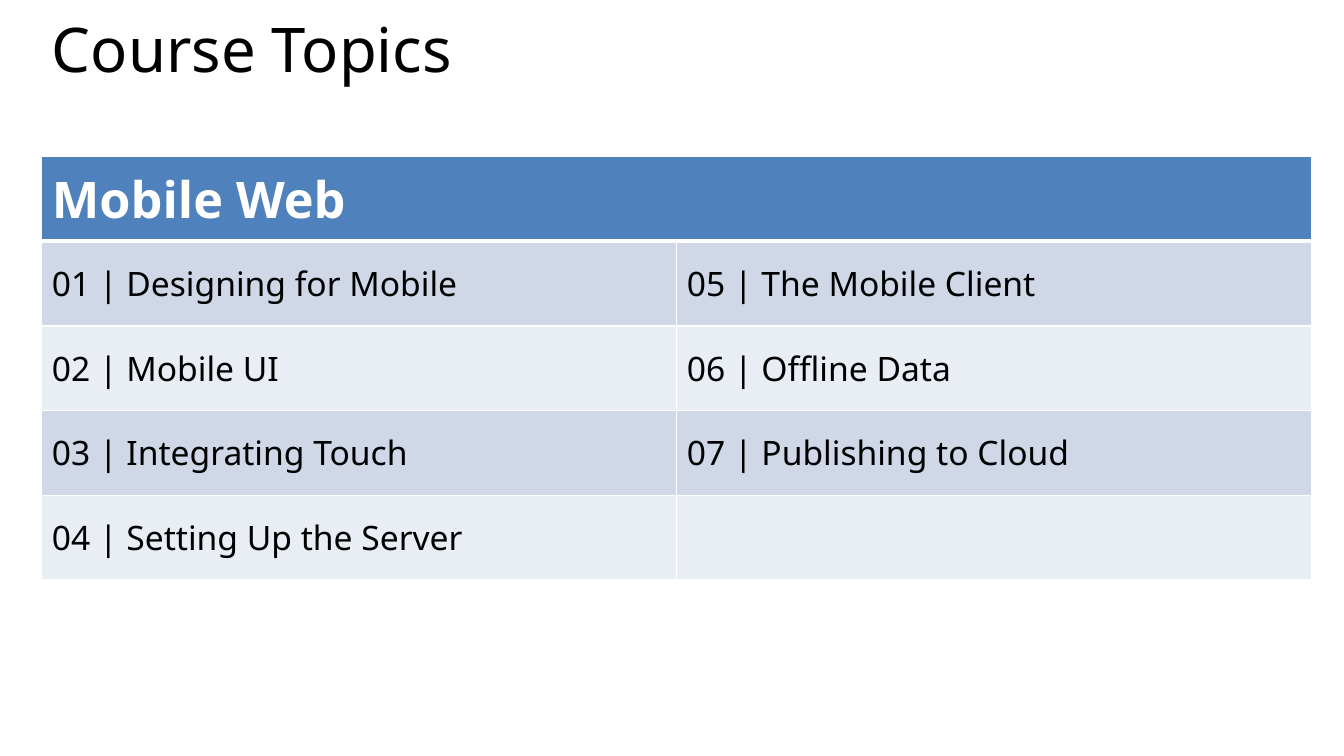
from typing import Any, NamedTuple

from lxml import etree
from pptx import Presentation
from pptx.dml.color import RGBColor
from pptx.enum.text import MSO_ANCHOR
from pptx.oxml.ns import qn
from pptx.util import Pt

TOP, MIDDLE = MSO_ANCHOR.TOP, MSO_ANCHOR.MIDDLE

BLACK = RGBColor(0x00, 0x00, 0x00)
WHITE = RGBColor(0xFF, 0xFF, 0xFF)
HEADER_BLUE = RGBColor(0x4F, 0x81, 0xBD)
BANDS = (RGBColor(0xD0, 0xD8, 0xE8), RGBColor(0xE9, 0xED, 0xF4))

FONT = "Noto Sans"
SLIDE_WIDTH, SLIDE_HEIGHT = Pt(960), Pt(540)
THIN, THICK = Pt(1), Pt(3)
ROW_HEIGHT = Pt(60.48)
COLUMN_WIDTH = Pt(453.6)


class TextStyle(NamedTuple):
    """Size, colour and weight of one kind of text."""

    size: int
    color: RGBColor
    bold: bool = False


TITLE_STYLE = TextStyle(44, BLACK)
HEADER_STYLE = TextStyle(36, WHITE, True)
TOPIC_STYLE = TextStyle(24, BLACK)

TOPICS = (
    ("01 | Designing for Mobile", "05 | The Mobile Client"),
    ("02 | Mobile UI", "06 | Offline Data"),
    ("03 | Integrating Touch", "07 | Publishing to Cloud"),
    ("04 | Setting Up the Server", ""),
)


def write_text(para: Any, text: str, style: TextStyle) -> None:
    """Add one formatted span to a paragraph."""
    span = para.add_run()
    span.text = text
    span.font.color.rgb = style.color
    values = {"name": FONT, "size": Pt(style.size), "bold": style.bold}
    for name, value in values.items():
        setattr(span.font, name, value)


def add_title(page: Any, text: str) -> None:
    """Place the slide title."""
    box = page.shapes.add_textbox(Pt(30), Pt(14.4), Pt(907.2), Pt(83.5))
    frame = box.text_frame
    for name, value in {"word_wrap": True, "vertical_anchor": TOP}.items():
        setattr(frame, name, value)
    para = frame.paragraphs[0]
    para.line_spacing = 0.8
    write_text(para, text, TITLE_STYLE)


def add_borders(cell: Any, top: int, bottom: int) -> None:
    """Draw white cell borders; these must precede the cell fill."""
    properties = cell._tc.get_or_add_tcPr()
    widths = {"a:lnL": THIN, "a:lnR": THIN, "a:lnT": top, "a:lnB": bottom}
    for tag, width in widths.items():
        line = etree.SubElement(properties, qn(tag), w=str(width))
        fill = etree.SubElement(line, qn("a:solidFill"))
        etree.SubElement(fill, qn("a:srgbClr"), val=str(WHITE))


def format_cell(cell: Any, text: str, style: TextStyle, color: RGBColor,
                top: int = THIN, bottom: int = THIN) -> None:
    """Set borders, fill, anchor and text of a table cell."""
    add_borders(cell, top, bottom)
    cell.fill.solid()
    cell.fill.fore_color.rgb = color
    cell.vertical_anchor = MIDDLE
    if text:
        write_text(cell.text_frame.paragraphs[0], text, style)


def add_topic_table(page: Any, heading: str) -> None:
    """Build the table: a merged heading above banded topic rows."""
    row_count, column_count = len(TOPICS) + 1, len(TOPICS[0])
    table = page.shapes.add_table(
        row_count, column_count, Pt(29.9), Pt(111.9),
        COLUMN_WIDTH * column_count, ROW_HEIGHT * row_count).table
    for column in table.columns:
        column.width = COLUMN_WIDTH
    for row in table.rows:
        row.height = ROW_HEIGHT

    table.cell(0, 0).merge(table.cell(0, column_count - 1))
    for index in range(column_count):
        format_cell(table.cell(0, index), "" if index else heading,
                    HEADER_STYLE, HEADER_BLUE, bottom=THICK)
    for row_index, topics in enumerate(TOPICS):
        for index, topic in enumerate(topics):
            format_cell(table.cell(row_index + 1, index), topic, TOPIC_STYLE,
                        BANDS[row_index % len(BANDS)],
                        top=THIN if row_index else THICK)


def main() -> None:
    """Create and save the deck."""
    deck = Presentation()
    deck.slide_width, deck.slide_height = SLIDE_WIDTH, SLIDE_HEIGHT
    page = deck.slides.add_slide(deck.slide_layouts[6])
    add_title(page, "Course Topics")
    add_topic_table(page, "Mobile Web")
    deck.save("out.pptx")


main()
